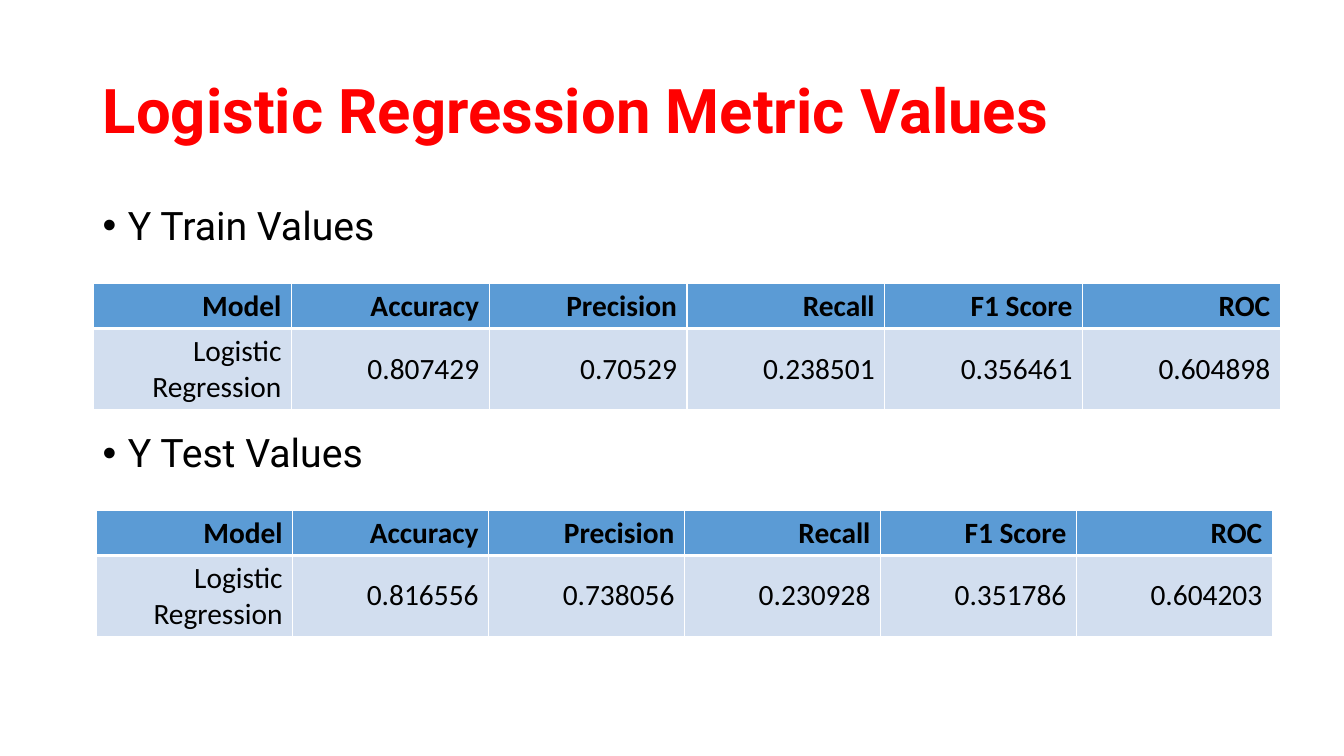
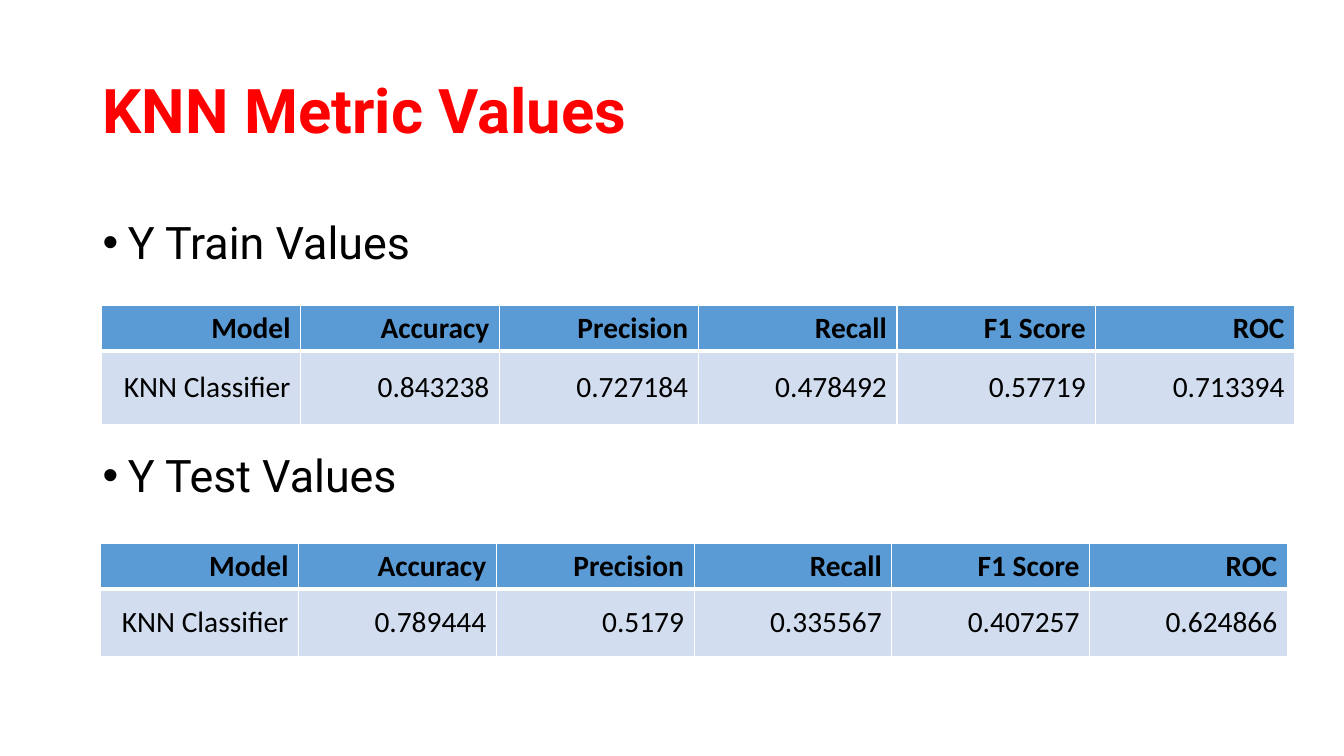
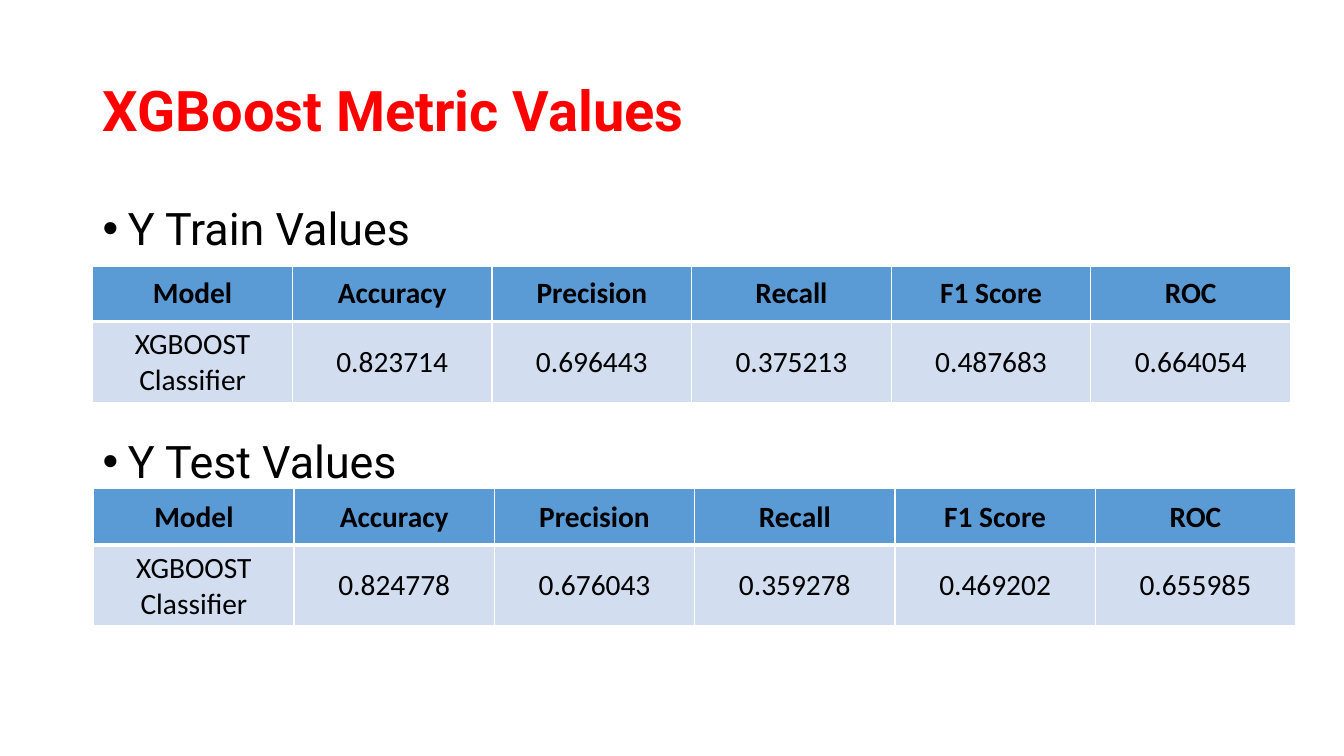
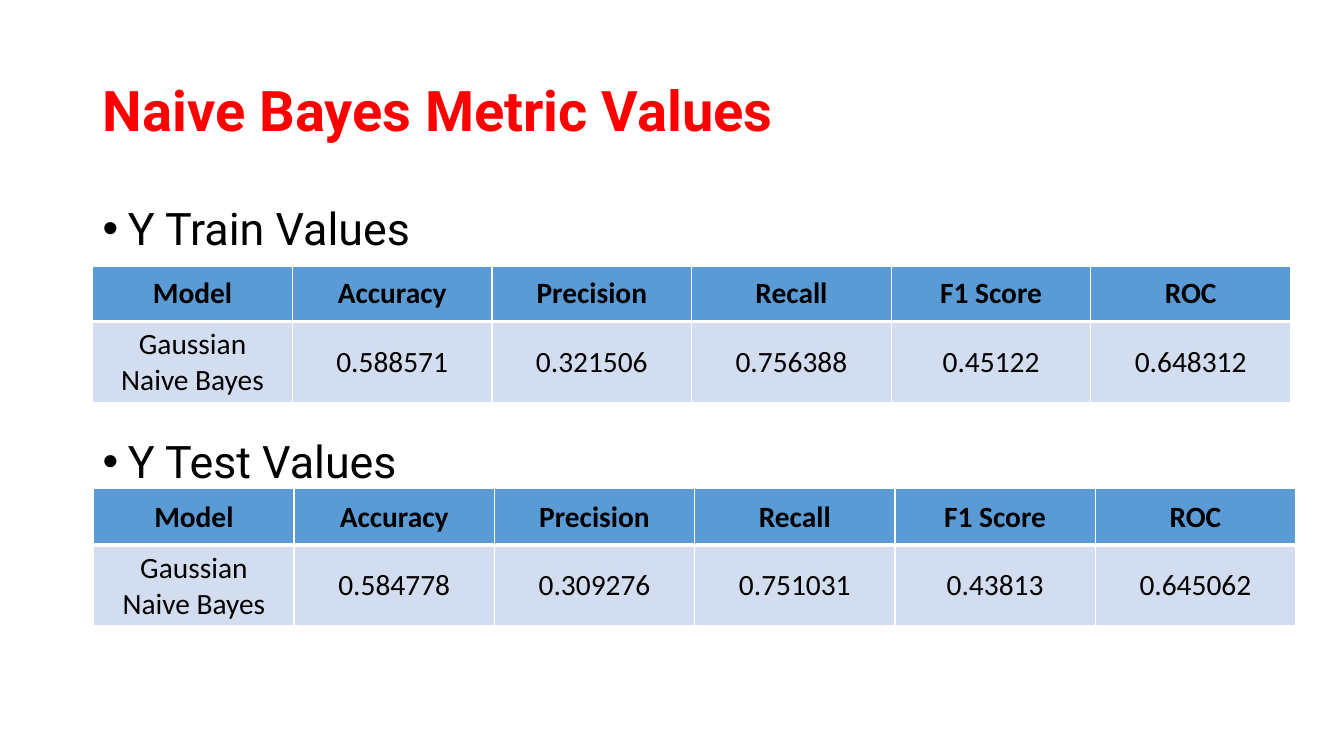
from dataclasses import dataclass

from lxml import etree
from pptx import Presentation
from pptx.dml.color import RGBColor
from pptx.enum.text import MSO_ANCHOR, MSO_AUTO_SIZE, PP_ALIGN
from pptx.oxml.ns import qn
from pptx.util import Inches, Pt

LEFT, CENTER, RIGHT = PP_ALIGN.LEFT, PP_ALIGN.CENTER, PP_ALIGN.RIGHT
MIDDLE = MSO_ANCHOR.MIDDLE
NO_FIT = MSO_AUTO_SIZE.NONE


@dataclass(frozen=True)
class Theme:
    title_color: str = "FF0000"
    text_color: str = "000000"
    header_fill: str = "5B9BD5"
    value_fill: str = "D2DEEF"
    border_color: str = "FFFFFF"
    heading_font: str = "Roboto"
    table_font: str = "Calibri"
    table_size: int = 21
    line_spacing: float = 0.9
    section_gap: int = 132
    thin_border: int = 1
    thick_border: int = 3


THEME = Theme()
TITLE_ONLY = 5
HEADERS = ["Model", "Accuracy", "Precision", "Recall", "F1 Score", "ROC"]
SECTIONS = ["Y Train Values", "Y Test Values"]

# Table frames: left, top, width, header row height, value row height
CENTERED_FRAMES = [(0.92, 2.64, 11.88, 0.55, 0.8), (0.93, 4.85, 11.92, 0.56, 0.8)]

PAGES = [
    {
        "title": "Logistic Regression Metric Values", "title_size": 44,
        "section_top": 2, "section_size": 28, "align": RIGHT,
        "frames": [(0.93, 2.81, 11.77, 0.45, 0.8), (0.96, 5.06, 11.66, 0.45, 0.8)],
        "model": "Logistic Regression",
        "scores": [
            ["0.807429", "0.70529", "0.238501", "0.356461", "0.604898"],
            ["0.816556", "0.738056", "0.230928", "0.351786", "0.604203"],
        ],
    },
    {
        "title": "KNN Metric Values", "title_size": 44,
        "section_top": 2.14, "section_size": 32, "align": RIGHT,
        "frames": [(1.01, 3.03, 11.83, 0.45, 0.73), (1, 5.39, 11.77, 0.45, 0.67)],
        "model": "KNN Classifier",
        "scores": [
            ["0.843238", "0.727184", "0.478492", "0.57719", "0.713394"],
            ["0.789444", "0.5179", "0.335567", "0.407257", "0.624866"],
        ],
    },
    {
        "title": "XGBoost Metric Values", "title_size": 40,
        "section_top": 2, "section_size": 32, "align": CENTER,
        "frames": CENTERED_FRAMES,
        "model": "XGBOOST Classifier",
        "scores": [
            ["0.823714", "0.696443", "0.375213", "0.487683", "0.664054"],
            ["0.824778", "0.676043", "0.359278", "0.469202", "0.655985"],
        ],
    },
    {
        "title": "Naive Bayes Metric Values", "title_size": 40,
        "section_top": 2, "section_size": 32, "align": CENTER,
        "frames": CENTERED_FRAMES,
        "model": "Gaussian Naive Bayes",
        "scores": [
            ["0.588571", "0.321506", "0.756388", "0.45122", "0.648312"],
            ["0.584778", "0.309276", "0.751031", "0.43813", "0.645062"],
        ],
    },
]


def write(para, text, *, size, font, color=THEME.text_color, bold=False,
          align=LEFT, spacing=1.0):
    para.alignment = align
    para.line_spacing = spacing
    span = para.add_run()
    span.text = text
    span.font.size = Pt(size)
    span.font.name = font
    span.font.bold = bold
    span.font.color.rgb = RGBColor.from_string(color)


def set_borders(cell, bottom_width):
    """Draw thin cell borders, with a bottom border of the given width in points."""
    properties = cell._tc.get_or_add_tcPr()
    for side in ("lnL", "lnR", "lnT", "lnB"):
        width = bottom_width if side == "lnB" else THEME.thin_border
        line = etree.SubElement(properties, qn(f"a:{side}"), w=str(Pt(width)))
        fill = etree.SubElement(line, qn("a:solidFill"))
        etree.SubElement(fill, qn("a:srgbClr"), val=THEME.border_color)


deck = Presentation()
deck.slide_width, deck.slide_height = Inches(13.33), Inches(7.5)

for content in PAGES:
    page = deck.slides.add_slide(deck.slide_layouts[TITLE_ONLY])

    title = page.shapes.title
    title.left, title.top = Inches(0.92), Inches(0.4)
    title.width, title.height = Inches(11.5), Inches(1.45)
    title.text_frame.auto_size = NO_FIT
    title.text_frame.vertical_anchor = MIDDLE
    write(title.text_frame.paragraphs[0], content["title"], size=content["title_size"],
          font=THEME.heading_font, color=THEME.title_color, bold=True,
          spacing=THEME.line_spacing)

    box = page.shapes.add_textbox(Inches(0.92), Inches(content["section_top"]),
                                  Inches(11.5), Inches(4.76))
    box.text_frame.word_wrap = True
    for index, section in enumerate(SECTIONS):
        para = box.text_frame.add_paragraph() if index else box.text_frame.paragraphs[0]
        write(para, section, size=content["section_size"], font=THEME.heading_font,
              spacing=THEME.line_spacing)
        if index:
            para.space_before = Pt(THEME.section_gap)
        properties = para._p.get_or_add_pPr()
        properties.set("marL", str(Inches(0.25)))
        properties.set("indent", str(Inches(-0.25)))
        etree.SubElement(properties, qn("a:buFont"), typeface="Arial")
        etree.SubElement(properties, qn("a:buChar"), char="•")

    for frame, scores in zip(content["frames"], content["scores"]):
        left, top, width, header_height, value_height = frame
        rows = [HEADERS, [content["model"], *scores]]
        table = page.shapes.add_table(
            len(rows), len(HEADERS), Inches(left), Inches(top), Inches(width),
            Inches(header_height + value_height)).table
        table.horz_banding = False
        table.rows[0].height = Inches(header_height)
        table.rows[1].height = Inches(value_height)
        for row_index, row in enumerate(rows):
            is_header = row_index == 0
            for column_index, text in enumerate(row):
                cell = table.cell(row_index, column_index)
                cell.vertical_anchor = MIDDLE
                set_borders(cell, THEME.thick_border if is_header else THEME.thin_border)
                cell.fill.solid()
                cell.fill.fore_color.rgb = RGBColor.from_string(
                    THEME.header_fill if is_header else THEME.value_fill)
                write(cell.text_frame.paragraphs[0], text, size=THEME.table_size,
                      font=THEME.table_font, bold=is_header, align=content["align"])

deck.save("out.pptx")
